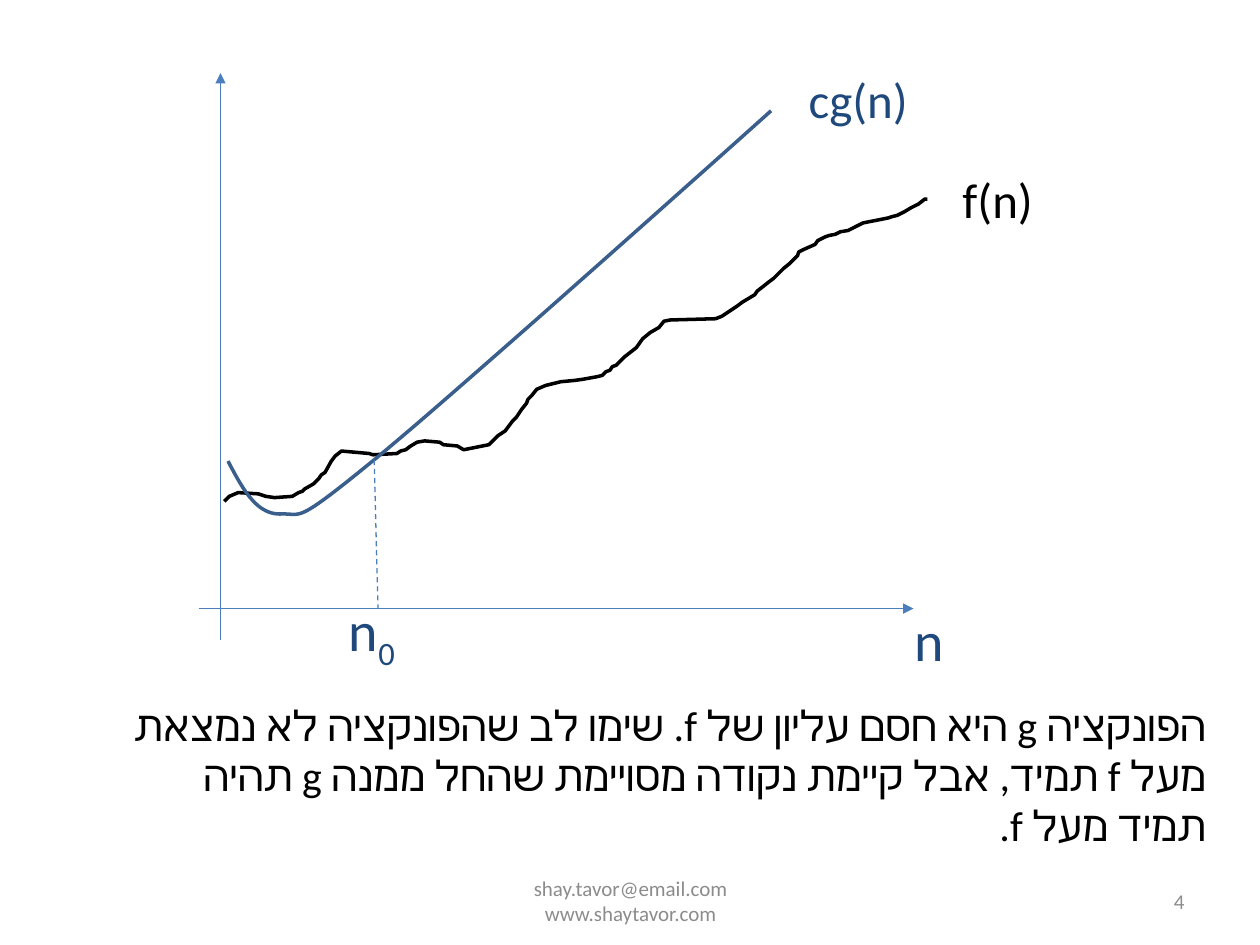
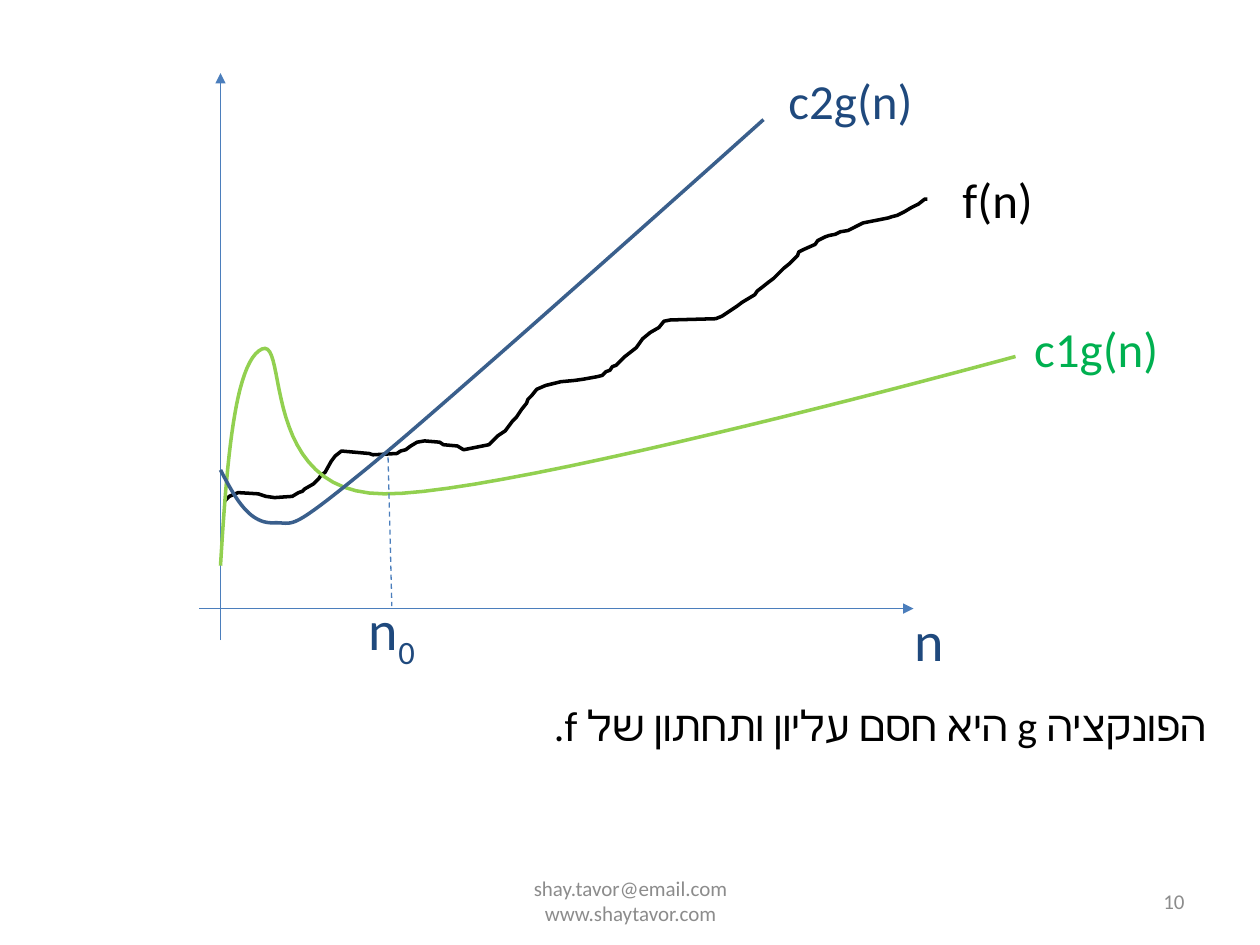
from dataclasses import dataclass

from lxml.etree import SubElement
from pptx import Presentation
from pptx.dml.color import RGBColor
from pptx.enum.dml import MSO_LINE
from pptx.enum.shapes import MSO_CONNECTOR
from pptx.enum.text import MSO_ANCHOR, MSO_AUTO_SIZE, PP_ALIGN
from pptx.oxml.ns import qn
from pptx.util import Inches, Pt

Point = tuple[float, float]

FONT = "Calibri"
BLACK, NAVY, GRAY = "000000", "1F497D", "8C8C8C"
AXIS, BLUE, LIME, GREEN = "4B7EBC", "3A5F8C", "92D050", "00B050"
CONTACT = "shay.tavor@email.com\nwww.shaytavor.com"

WAVE: list[Point] = [
    (1.78, 3.98), (1.82, 3.94), (1.89, 3.91), (2.05, 3.92), (2.11, 3.94),
    (2.18, 3.95), (2.32, 3.94), (2.37, 3.91), (2.4, 3.9), (2.42, 3.88),
    (2.49, 3.84), (2.53, 3.8), (2.55, 3.77), (2.58, 3.75), (2.63, 3.66),
    (2.66, 3.62), (2.71, 3.58), (2.93, 3.6), (2.96, 3.61), (3.15, 3.6),
    (3.18, 3.58), (3.22, 3.57), (3.26, 3.54), (3.31, 3.51), (3.37, 3.5),
    (3.49, 3.51), (3.52, 3.53), (3.63, 3.54), (3.68, 3.57), (3.88, 3.53),
    (3.95, 3.46), (4.01, 3.42), (4.07, 3.34), (4.1, 3.31), (4.14, 3.25),
    (4.18, 3.2), (4.19, 3.17), (4.22, 3.14), (4.26, 3.09), (4.33, 3.06),
    (4.45, 3.03), (4.56, 3.02), (4.63, 3.01), (4.74, 2.99), (4.78, 2.98),
    (4.81, 2.95), (4.84, 2.94), (4.86, 2.91), (4.89, 2.9), (4.96, 2.83),
    (5.05, 2.76), (5.1, 2.69), (5.16, 2.64), (5.23, 2.6), (5.27, 2.55),
    (5.32, 2.54), (5.68, 2.53), (5.73, 2.51), (5.85, 2.43), (5.89, 2.4),
    (5.99, 2.34), (6.01, 2.31), (6.05, 2.28), (6.1, 2.24), (6.14, 2.21),
    (6.22, 2.13), (6.27, 2.09), (6.33, 2.03), (6.34, 2.0), (6.38, 1.98),
    (6.47, 1.94), (6.49, 1.91), (6.55, 1.88), (6.58, 1.87), (6.63, 1.86),
    (6.67, 1.84), (6.73, 1.83), (6.85, 1.77), (7.05, 1.73), (7.08, 1.72),
    (7.12, 1.71), (7.18, 1.68), (7.23, 1.65), (7.29, 1.62), (7.34, 1.58),
    (7.36, 1.58),
]
UPPER: list[Point] = [
    (1.81, 3.66), (1.92, 3.87), (2.03, 4.08), (2.22, 4.08), (2.41, 4.07),
    (2.32, 4.18), (2.97, 3.65), (3.62, 3.12), (6.12, 0.88), (6.12, 0.88),
]
LOWER: list[Point] = [
    (1.75, 4.49), (1.8, 3.68), (1.86, 2.87), (2.08, 2.77), (2.29, 2.68),
    (2.05, 3.92), (3.05, 3.92), (4.05, 3.93), (8.06, 2.83), (8.06, 2.83),
]


@dataclass
class Label:
    text: str
    left: float
    top: float
    width: float
    height: float = 0.57
    size: int = 28
    hue: str = NAVY
    align: PP_ALIGN = PP_ALIGN.LEFT
    grow: bool = True


@dataclass
class Curve:
    points: list[Point]
    hue: str


@dataclass
class Graph:
    number: int
    note: str
    lines: int
    curves: list[Curve]
    labels: list[Label]
    cross: Point
    foot: Point
    origin: Point


def color(code: str) -> RGBColor:
    return RGBColor.from_string(code)


def bend(knots: list[Point], steps: int = 24) -> list[Point]:
    points = [knots[0]]
    for start in range(0, len(knots) - 1, 3):
        part = knots[start:start + 4]
        for step in range(1, steps + 1):
            t = step / steps
            rates = ((1 - t) ** 3, 3 * t * (1 - t) ** 2, 3 * t * t * (1 - t), t ** 3)
            points.append((
                sum(rate * x for rate, (x, _) in zip(rates, part)),
                sum(rate * y for rate, (_, y) in zip(rates, part)),
            ))
    return points


def shift(points: list[Point], right: float, down: float) -> list[Point]:
    return [(x + right, y + down) for x, y in points]


def write(slide, label: Label):
    box = slide.shapes.add_textbox(
        Inches(label.left), Inches(label.top), Inches(label.width), Inches(label.height)
    )
    frame = box.text_frame
    frame.text = label.text
    frame.word_wrap = True
    if label.grow:
        frame.auto_size = MSO_AUTO_SIZE.SHAPE_TO_FIT_TEXT
    else:
        frame.vertical_anchor = MSO_ANCHOR.MIDDLE
    for line in frame.paragraphs:
        line.alignment = label.align
        for run in line.runs:
            style(run, label)
    return frame.paragraphs[0]


def style(run, label: Label) -> None:
    run.font.name = FONT
    run.font.size = Pt(label.size)
    run.font.color.rgb = color(label.hue)
    SubElement(run._r.get_or_add_rPr(), qn("a:cs")).set("typeface", FONT)


def rule(slide, start: Point, end: Point, arrow: bool = False) -> None:
    line = slide.shapes.add_connector(
        MSO_CONNECTOR.STRAIGHT, *(Inches(v) for v in start + end)
    )
    line.line.color.rgb = color(AXIS)
    line.line.width = Pt(0.75)
    props = line._element.spPr
    if arrow:
        SubElement(props.find(qn("a:ln")), qn("a:tailEnd")).set("type", "triangle")
    else:
        line.line.dash_style = MSO_LINE.DASH
    SubElement(props, qn("a:effectLst"))


def trace(slide, curve: Curve) -> None:
    first, *rest = [(Inches(x), Inches(y)) for x, y in curve.points]
    pen = slide.shapes.build_freeform(*first)
    pen.add_line_segments(rest, close=False)
    shape = pen.convert_to_shape()
    shape.shadow.inherit = False
    shape.fill.background()
    shape.line.color.rgb = color(curve.hue)
    shape.line.width = Pt(2)


def draw(deck, graph: Graph) -> None:
    slide = deck.slides.add_slide(deck.slide_layouts[6])
    write(slide, Label(CONTACT, 3.42, 6.95, 3.17, 0.4, 12, GRAY, PP_ALIGN.CENTER, False))
    write(slide, Label(
        str(graph.number), 7.17, 6.95, 2.33, 0.4, 12, GRAY, PP_ALIGN.RIGHT, False
    ))
    rule(slide, (1.75, 5.08), (1.75, 0.58), True)
    rule(slide, (1.58, 4.83), (7.25, 4.83), True)
    write(slide, Label("n", 7.16, 4.76, 0.75, 0.64, 32))
    for curve in graph.curves:
        trace(slide, curve)
    write(slide, Label("f(n)", 7.54, 1.3, 0.92, hue=BLACK))
    for label in graph.labels:
        write(slide, label)
    rule(slide, graph.cross, graph.foot)
    origin = Label("n", *graph.origin, 0.75, 0.64, 32)
    line = write(slide, origin)
    digit = line.add_run()
    digit.text = "0"
    style(digit, origin)
    digit._r.get_or_add_rPr().set("baseline", "-25000")
    note = write(slide, Label(
        graph.note, 0.75, 5.5, 8.92, 0.1 + 0.4 * graph.lines, 24, BLACK, PP_ALIGN.RIGHT
    ))
    note._p.get_or_add_pPr().set("rtl", "1")


def main() -> None:
    deck = Presentation()
    deck.slide_width, deck.slide_height = Inches(10), Inches(7.5)
    wave, upper = Curve(WAVE, BLACK), bend(UPPER)
    graphs = [
        Graph(
            4,
            "הפונקציה g היא חסם עליון של f. שימו לב שהפונקציה לא נמצאת מעל f תמיד, "
            "אבל קיימת נקודה מסויימת שהחל ממנה g תהיה תמיד מעל f.",
            3,
            [wave, Curve(upper, BLUE)],
            [Label("cg(n)", 6.32, 0.5, 1.04)],
            (2.97, 3.65), (3, 4.83), (2.67, 4.68),
        ),
        Graph(
            10,
            "הפונקציה g היא חסם עליון ותחתון של f.",
            1,
            [wave, Curve(bend(LOWER), LIME), Curve(shift(upper, -0.06, 0.07), BLUE)],
            [
                Label("c1g(n)", 8.11, 2.48, 1.22, hue=GREEN),
                Label("c2g(n)", 6.16, 0.51, 1.26),
            ],
            (3.08, 3.63), (3.11, 4.81), (2.83, 4.67),
        ),
    ]
    for graph in graphs:
        draw(deck, graph)
    deck.save("out.pptx")


main()
